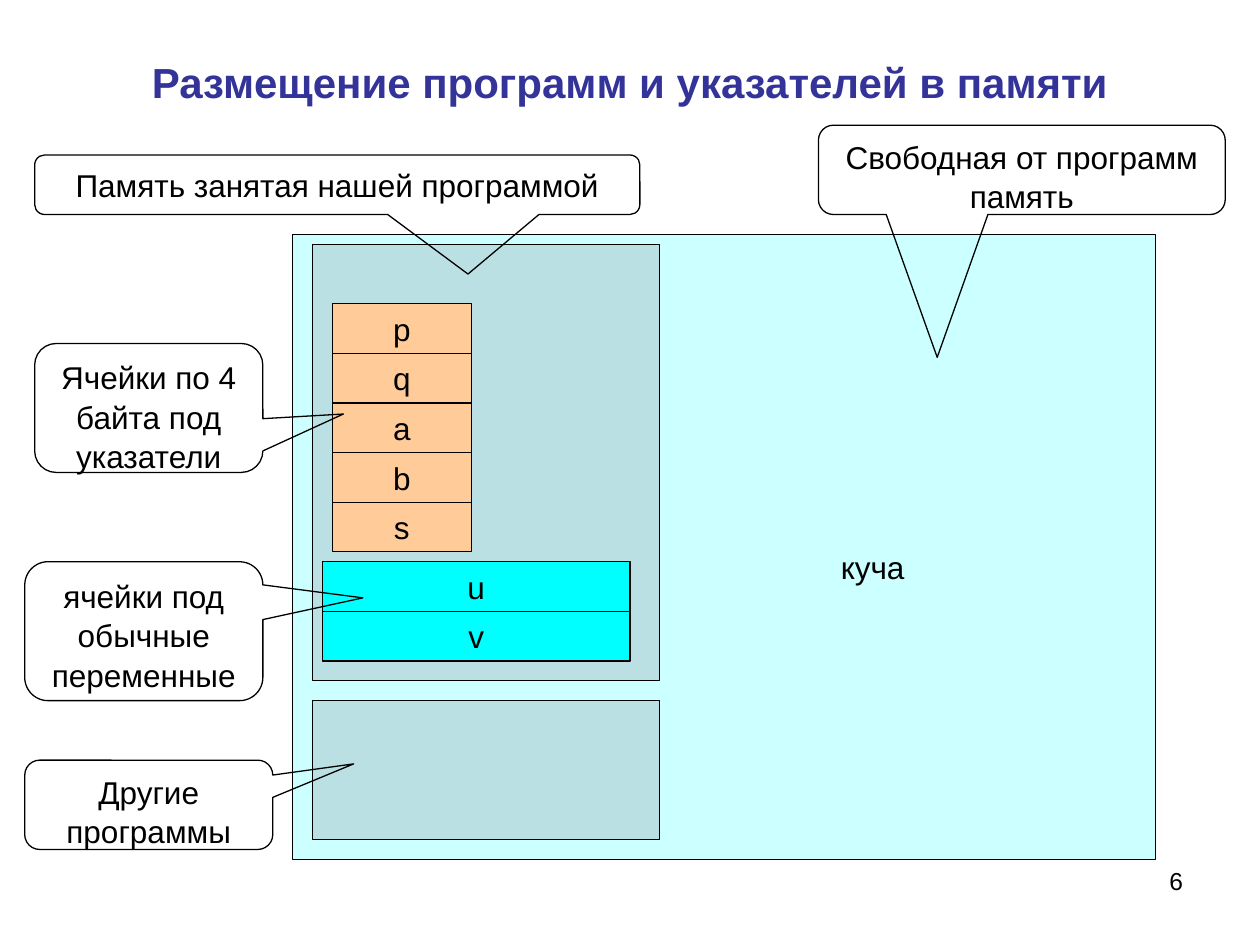
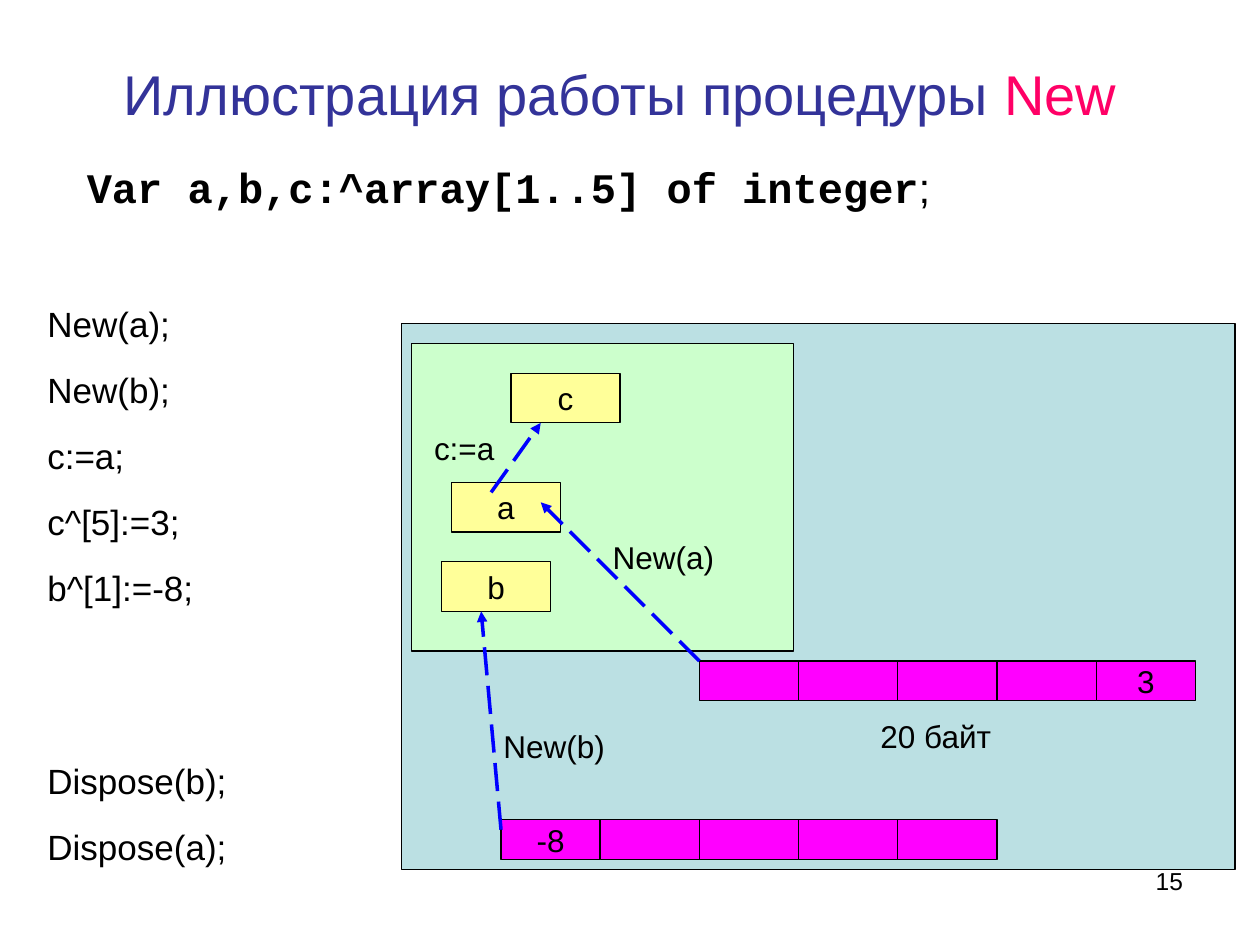
from lxml import etree
from pptx import Presentation, util as u
from pptx.dml.color import RGBColor
from pptx.enum import dml, shapes, text
from pptx.oxml.ns import qn

INK = RGBColor(0, 0, 0)
NAVY = RGBColor(0x33, 0x33, 0x99)
PINK = RGBColor(0xFF, 0x00, 0x66)
ICE = RGBColor(0xCC, 0xFF, 0xFF)
TEAL = RGBColor(0xBB, 0xE0, 0xE3)
PEACH = RGBColor(0xFF, 0xCC, 0x99)
AQUA = RGBColor(0x00, 0xFF, 0xFF)
MINT = RGBColor(0xCC, 0xFF, 0xCC)
CREAM = RGBColor(0xFF, 0xFF, 0x99)
MAGENTA = RGBColor(0xFF, 0x00, 0xFF)
BLUE = RGBColor(0x00, 0x00, 0xFF)

GRID = u.Cm(0.1)
DROP = 0.25
LEAD = 1.05
FONT = dict(name="Arial", size=18, bold=False, color=INK)
HEAD = dict(color=NAVY)
LEFT, MID, RIGHT = text.PP_ALIGN.LEFT, text.PP_ALIGN.CENTER, text.PP_ALIGN.RIGHT
TOP, CENTER = text.MSO_ANCHOR.TOP, text.MSO_ANCHOR.MIDDLE

HEAP = dict(
    layout=5, page="6",
    title=((12.7, 7.4, 228.6, 17.5),
           [("Размещение программ и указателей в памяти", dict(size=24, bold=True))]),
    areas=[((59, 47, 174, 126), ICE), ((63, 49, 70, 88), TEAL), ((63, 141, 70, 28), TEAL)],
    grids=[((67, 61, 28, 10), (0, 1), PEACH, "pqabs"),
           ((65, 113, 62, 10), (0, 1), AQUA, "uv")],
    notes=[((7, 31, 122, 12), (0.216, 1.5), "Память занятая нашей программой"),
           ((165, 25, 82, 18), (-0.208, 2.1), "Свободная от программ память"),
           ((7, 69, 46, 26), (0.853, 0.047), "Ячейки по 4 байта под указатели"),
           ((5, 113, 48, 28), (0.92, -0.24), "ячейки под обычные переменные"),
           ((5, 153, 50, 18), (0.826, -0.458), "Другие программы")],
    labels=[((167, 109, 20, 10), [("куча", {})])],
    arrows=[], code=None)

NEW = dict(
    layout=1, page="15",
    title=((10.7, 8.7, 228.6, 19.5),
           [("Иллюстрация работы процедуры ", dict(size=32)),
            ("New", dict(size=32, color=PINK))]),
    areas=[((81, 65, 168, 110), TEAL), ((83, 69, 77, 62), MINT)],
    grids=[((91, 97, 22, 10), (0, 1), CREAM, "a"),
           ((89, 113, 22, 10), (0, 1), CREAM, "b"),
           ((103, 75, 22, 10), (0, 1), CREAM, "c"),
           ((141, 133, 20, 8), (1, 0), MAGENTA, ["", "", "", "", "3"]),
           ((101, 165, 20, 8), (1, 0), MAGENTA, ["-8", "", "", "", ""])],
    notes=[],
    labels=[((15, 31, 200, 13),
             [("Var a,b,c:^array[1..5] of integer", dict(name="Courier New", size=24, bold=True)),
              (";", dict(size=24))]),
            ((175, 143, 34, 10), [("20 байт", {})]),
            ((121, 107, 28, 10), [("New(a)", {})]),
            ((99, 145, 28, 10), [("New(b)", {})]),
            ((85, 85, 20, 10), [("c:=a", {})])],
    arrows=[((141, 133), (109, 101)), ((101, 167), (97, 123)), ((99, 99), (109, 85))],
    code=((7, 59, 70, 114),
          [["New(a);", "New(b);", "c:=a;", "c^[5]:=3;", "b^[1]:=-8;"],
           ["Dispose(b);", "Dispose(a);"]]))


def spot(x, y, w=0, h=0):
    return [int(n * GRID) for n in (x, y + DROP, w, h)]


def style(font, form):
    for key, val in {**FONT, **form}.items():
        if key == "color":
            font.color.rgb = val
        else:
            setattr(font, key, u.Pt(val) if key == "size" else val)


def write(para, runs, align, lead=1.0):
    para.alignment, para.line_spacing = align, lead
    para.space_before = para.space_after = 0
    for words, form in runs:
        run = para.add_run()
        run.text = words
        style(run.font, form)


def frame(item, anchor):
    form = dict(word_wrap=True, auto_size=text.MSO_AUTO_SIZE.NONE, vertical_anchor=anchor)
    for key, val in form.items():
        setattr(item.text_frame, key, val)
    return item.text_frame.paragraphs[0]


def move(item, box):
    for key, val in zip(("left", "top", "width", "height"), spot(*box)):
        setattr(item, key, val)


def block(slide, kind, box, fill=None):
    item = slide.shapes.add_shape(kind, *spot(*box))
    item.shadow.inherit = False
    if fill is None:
        item.fill.background()
    else:
        item.fill.solid()
        item.fill.fore_color.rgb = fill
    item.line.color.rgb = INK
    item.line.width = u.Pt(0.75)
    return item


def cells(slide, box, step, fill, names):
    x, y, w, h = box
    for i, name in enumerate(names):
        place = (x + i * w * step[0], y + i * h * step[1], w, h)
        item = block(slide, shapes.MSO_SHAPE.RECTANGLE, place, fill)
        if name:
            write(frame(item, CENTER), [(name, {})], MID)


def note(slide, box, tip, words):
    item = block(slide, shapes.MSO_SHAPE.ROUNDED_RECTANGULAR_CALLOUT, box)
    for i, val in enumerate((*tip, 0.167)):
        item.adjustments[i] = val
    write(frame(item, TOP), [(words, {})], MID, LEAD)


def label(slide, box, runs, align=LEFT):
    write(frame(slide.shapes.add_textbox(*spot(*box)), TOP), runs, align)


def arrow(slide, start, end):
    item = slide.shapes.add_connector(
        shapes.MSO_CONNECTOR.STRAIGHT, *spot(*start)[:2], *spot(*end)[:2])
    item.line.color.rgb = BLUE
    item.line.width = u.Pt(2)
    item.line.dash_style = dml.MSO_LINE.LONG_DASH
    etree.SubElement(item.line._get_or_add_ln(), qn("a:tailEnd"), type="triangle")
    etree.SubElement(item._element.spPr, qn("a:effectLst"))


def code(body, box, groups):
    move(body, box)
    para = frame(body, TOP)
    for g, group in enumerate(groups):
        for i, line in enumerate(group):
            first = g == i == 0
            if not first:
                para = body.text_frame.add_paragraph()
            write(para, [(line, dict(size=20))], LEFT, LEAD)
            props = para._p.get_or_add_pPr()
            props.set("marL", "0")
            props.set("indent", "0")
            etree.SubElement(props, qn("a:buNone"))
            if not first:
                para.space_before = u.Pt(12.5 if i else 85.5)


def build(deck, data):
    slide = deck.slides.add_slide(deck.slide_layouts[data["layout"]])
    box, runs = data["title"]
    title = slide.shapes.title
    move(title, box)
    write(frame(title, CENTER), [(words, {**HEAD, **form}) for words, form in runs], MID)
    for box, fill in data["areas"]:
        block(slide, shapes.MSO_SHAPE.RECTANGLE, box, fill)
    for key, draw in (("grids", cells), ("notes", note), ("labels", label), ("arrows", arrow)):
        for part in data[key]:
            draw(slide, *part)
    if data["code"]:
        code(slide.placeholders[1], *data["code"])
    label(slide, (182, 173, 59, 13), [(data["page"], dict(size=14))], RIGHT)


def main():
    deck = Presentation()
    deck.slide_width, deck.slide_height = u.Inches(10), u.Inches(7.5)
    for data in (HEAP, NEW):
        build(deck, data)
    deck.save("out.pptx")


if __name__ == "__main__":
    main()
